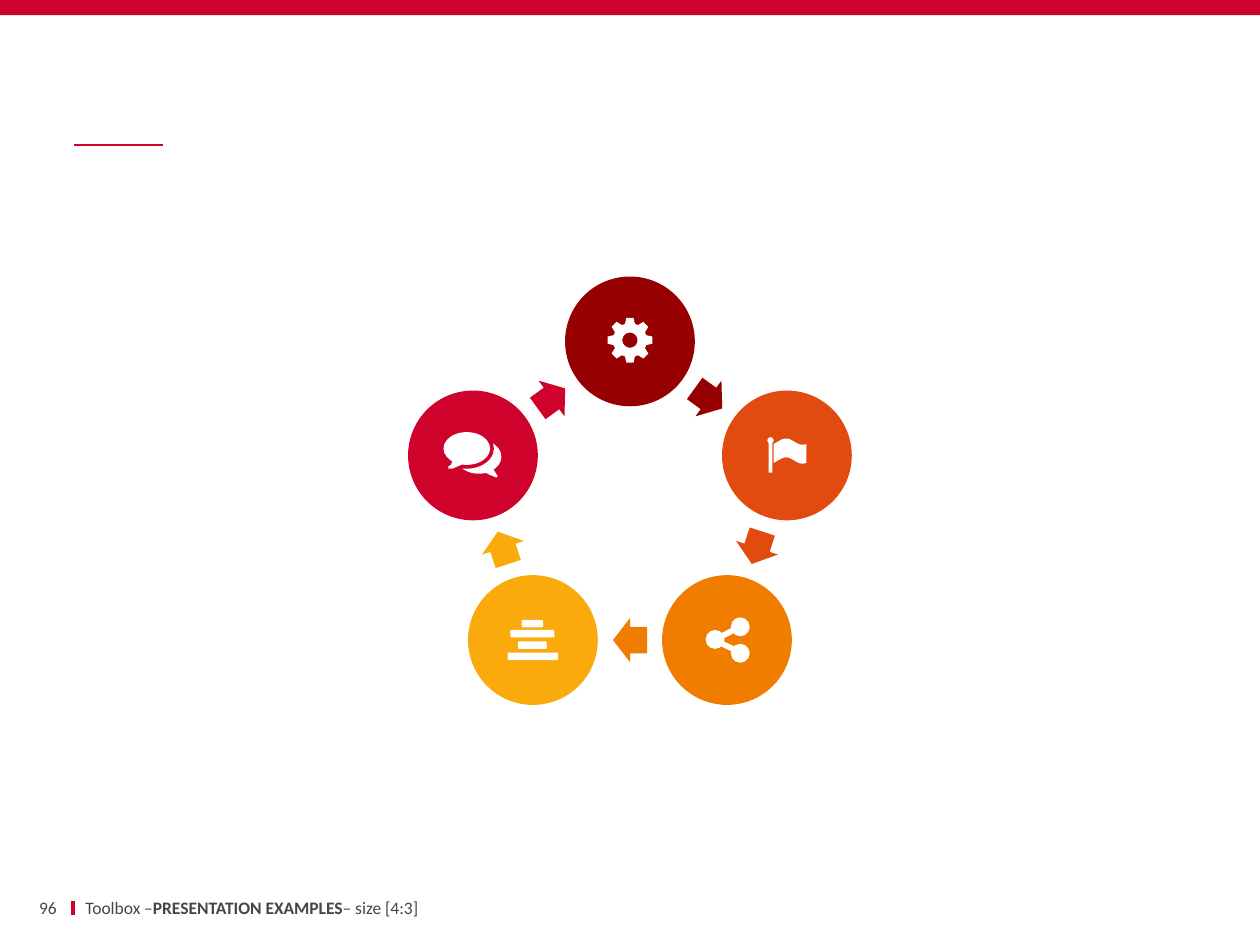
"""Builds a slide with a five-step circular process, icons and a footer."""
from math import cos, pi, radians, sin

from lxml import etree
from pptx import Presentation
from pptx.dml.color import RGBColor
from pptx.enum.shapes import MSO_CONNECTOR as CONN, MSO_SHAPE as SHAPE
from pptx.enum.text import MSO_ANCHOR as ANCHOR, PP_ALIGN as ALIGN
from pptx.oxml.ns import qn
from pptx.util import Inches, Pt

RED, WHITE, GREY = "CF022B", "FFFFFF", "464646"


def paint(fmt, color):
    fmt.solid()
    fmt.fore_color.rgb = RGBColor.from_string(color)


def add_line(x1, y1, x2, y2, color, width):
    c = s.shapes.add_connector(CONN.STRAIGHT, Inches(x1), Inches(y1), Inches(x2), Inches(y2))
    paint(c.line.fill, color)
    c.line.width = Pt(width)
    etree.SubElement(c._element.spPr, qn("a:effectLst"))


prs = Presentation()
prs.slide_width, prs.slide_height = Inches(10), Inches(7.5)
s = prs.slides.add_slide(prs.slide_layouts[6])

add_line(0.58, 7.15, 0.58, 7.26, RED, 2.25)
add_line(0.59, 1.15, 1.29, 1.15, RED, 1)

cx, cy, radius, size = 5, 4.02, 1.31, 1.03
step_colors = ["960000", "E14B0F", "F07D00", "FAAA0A", RED]
presets = [(SHAPE.RECTANGLE, 0, 0, 10, 0.12, RED, 0)]
for i, color in enumerate(step_colors):
    a, b = radians(72 * i), radians(72 * i + 36)
    x, y = cx + radius * sin(a), cy - radius * cos(a)
    presets.append((SHAPE.OVAL, x - size / 2, y - size / 2, size, size, color, 0))
    mid = radius * cos(pi / 5)
    x, y = cx + mid * sin(b), cy - mid * cos(b)
    presets.append((SHAPE.RIGHT_ARROW, x - 0.135, y - 0.175, 0.27, 0.35, color, 72 * i + 36))

bubbles = [(3.62, 3.49, 0.36, 0.27, WHITE), (3.48, 3.4, 0.44, 0.32, RED),
           (3.52, 3.43, 0.37, 0.26, WHITE)]
flag_knob = [(6.09, 3.47, 0.05, 0.05, WHITE)]
share_nodes = [(x, y, 0.15, 0.15, WHITE) for x, y in [(5.6, 5), (5.8, 4.9), (5.8, 5.11)]]
presets += [(SHAPE.OVAL, *oval, 0) for oval in bubbles + flag_knob + share_nodes]

bars = [(4.14, 4.92, 0.17), (4.05, 5, 0.35), (4.11, 5.09, 0.23), (4.03, 5.18, 0.4)]
presets += [(SHAPE.ROUNDED_RECTANGLE, x, y, w, 0.06, WHITE, 0) for x, y, w in bars]
presets.append((SHAPE.ROUNDED_RECTANGLE, 6.1, 3.5, 0.03, 0.25, WHITE, 0))

for kind, x, y, w, h, color, angle in presets:
    sp = s.shapes.add_shape(kind, Inches(x), Inches(y), Inches(w), Inches(h))
    sp.shadow.inherit = False
    sp.rotation = angle
    paint(sp.fill, color)
    sp.line.fill.background()
    if kind == SHAPE.RIGHT_ARROW:
        sp.adjustments[0], sp.adjustments[1] = 0.6, 0.5

for y in (4.97, 5.18):
    add_line(5.67, 5.08, 5.88, y, WHITE, 3.25)

tooth = [(-17, 0.135), (-9, 0.18), (9, 0.18), (17, 0.135)]
gear = [(5 + r * sin(radians(45 * i + a)), 2.7 - r * cos(radians(45 * i + a)))
        for i in range(8) for a, r in tooth]
hole = [(5 + 0.06 * cos(radians(a)), 2.7 - 0.06 * sin(radians(a))) for a in range(0, 360, 10)]
wave = [0.025 - 0.025 * sin(2 * pi * (i / 20 - 0.13)) for i in range(21)]
flag = [(6.14 + 0.013 * i, 3.48 + d) for i, d in enumerate(wave)]
flag += [(x, y + 0.15) for x, y in reversed(flag)]
front_tail = [(3.57, 3.64), (3.59, 3.66), (3.58, 3.69), (3.56, 3.7), (3.56, 3.72),
              (3.59, 3.72), (3.66, 3.69), (3.7, 3.67)]
back_tail = [(3.85, 3.75), (3.89, 3.77), (3.94, 3.79), (3.95, 3.78), (3.92, 3.73), (3.88, 3.72)]

for contours in ([gear, hole], [flag], [front_tail], [back_tail]):
    fb = s.shapes.build_freeform(Inches(contours[0][0][0]), Inches(contours[0][0][1]))
    for n, pts in enumerate(contours):
        if n:
            fb.move_to(Inches(pts[0][0]), Inches(pts[0][1]))
        fb.add_line_segments([(Inches(x), Inches(y)) for x, y in pts[1:]], close=True)
    sp = fb.convert_to_shape()
    sp.shadow.inherit = False
    paint(sp.fill, WHITE)
    sp.line.fill.background()

footer = [(0.13, 0.32, 0, ALIGN.RIGHT, ["96"]),
          (0.58, 4.97, 0.1, ALIGN.LEFT, ["Toolbox –", "PRESENTATION EXAMPLES", "– size [4:3]"])]
for x, w, inset, align, parts in footer:
    tf = s.shapes.add_textbox(Inches(x), Inches(7.11), Inches(w), Inches(0.18)).text_frame
    tf.word_wrap = True
    tf.vertical_anchor = ANCHOR.MIDDLE
    tf.margin_left = tf.margin_right = Inches(inset)
    p = tf.paragraphs[0]
    p.alignment = align
    for i, part in enumerate(parts):
        r = p.add_run()
        r.text = part
        r.font.name, r.font.size, r.font.bold = "Calibri", Pt(10), i == 1
        paint(r.font.fill, GREY)

prs.save("out.pptx")
